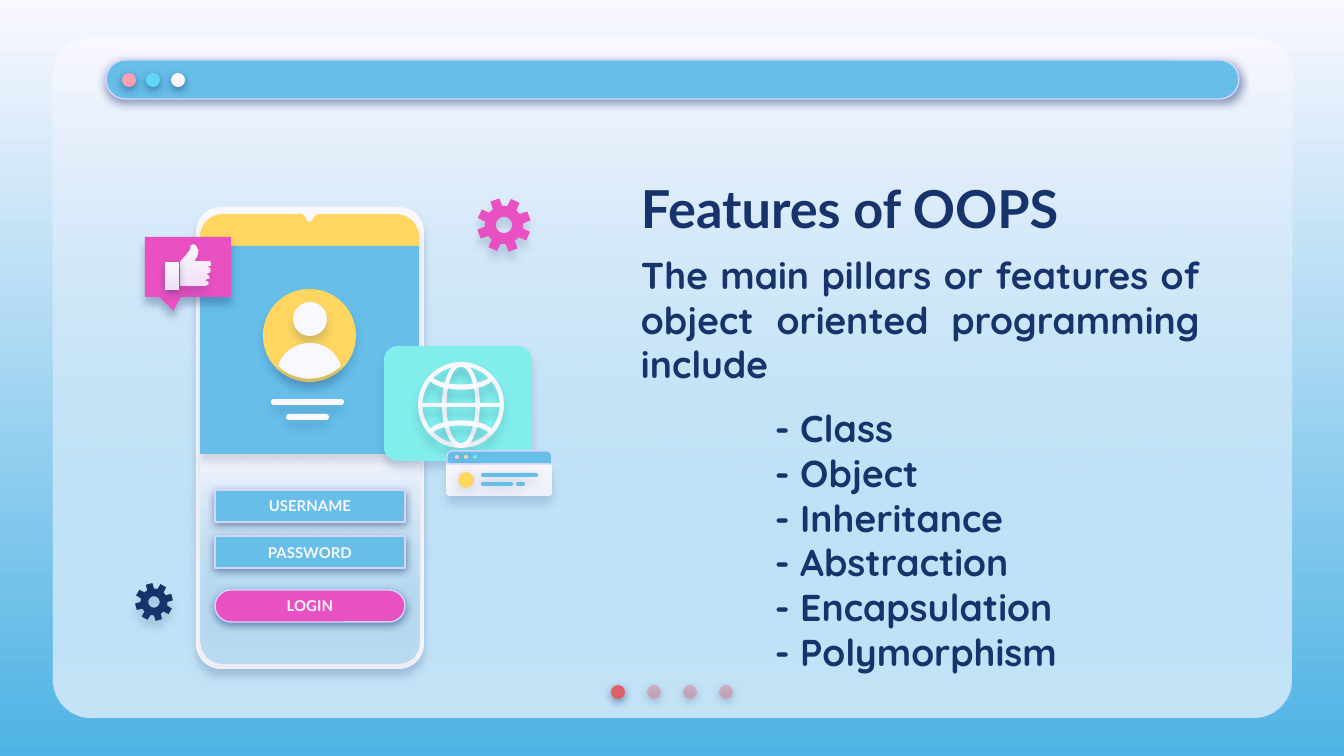
from dataclasses import dataclass
from math import cos, radians, sin

from lxml.etree import SubElement
from pptx import Presentation
from pptx.dml.color import RGBColor
from pptx.enum.shapes import MSO_SHAPE as Kind
from pptx.enum.text import MSO_ANCHOR as Anchor, MSO_AUTO_SIZE as AutoSize, PP_ALIGN as Align
from pptx.oxml.ns import qn
from pptx.util import Pt

PX = 9144000 / 1344  # EMU in one px of a 1344 x 756 page


def px(length):
    return round(length * PX)


@dataclass(frozen=True)
class Paint:
    color: str
    end: str = None    # second colour of a downward gradient
    alpha: int = 100   # opacity of the last colour, percent


@dataclass(frozen=True)
class Shadow:
    alpha: int
    blur: float
    drop: float


class Theme:
    navy, sky, white = Paint("17336B"), Paint("66BEE9"), Paint("F9F8FF")
    yellow, magenta, aqua = Paint("FFD65F"), Paint("E951C2"), Paint("81EEEB")
    backdrop = Paint("F9F8FF", "4EB3E4")
    glass = Paint("F9F8FF", "66BEE9", 35)
    frost = Paint("F9F8FF", "F9F8FF", 87)
    window_dots = [Paint("FDA0B4"), Paint("60D8F4"), white]
    page_dots = [Paint("DF5F69")] + [Paint("E27B83", alpha=44)] * 3
    browser_dots = [Paint("FFC3D0"), Paint("F5D79B"), Paint("6AEBE7")]
    border = "D2D6FF"
    crisp, soft = Shadow(50, 4.5, 1.5), Shadow(16, 4.5, 3.8)
    bold, deep = Shadow(31, 4.5, 3.8), Shadow(16, 4.5, 4.5)
    tiny, wide = Shadow(17, 4.5, 2.2), Shadow(18, 6.8, 1.5)
    heading, text = "Lato", "Quicksand"
    title_size, body_size, button_size, item_gap = Pt(28), Pt(20), Pt(8), Pt(10)


def apply_paint(fill, paint):
    if paint.end:
        fill.gradient()
        fill.gradient_angle = 270
        for stop, color in zip(fill.gradient_stops, (paint.color, paint.end)):
            stop.color.rgb = RGBColor.from_string(color)
    else:
        fill.solid()
        fill.fore_color.rgb = RGBColor.from_string(paint.color)


def style(shape, paint, shadow, border):
    properties = shape.element.spPr
    apply_paint(shape.fill, paint)
    if paint.alpha < 100:
        last = list(properties.iter(qn("a:srgbClr")))[-1]
        SubElement(last, qn("a:alpha"), val=str(paint.alpha * 1000))
    if border:
        shape.line.color.rgb = RGBColor.from_string(Theme.border)
        shape.line.width = Pt(0.75)
    else:
        shape.line.fill.background()
    shape.shadow.inherit = False
    if shadow:
        outer = SubElement(properties.find(qn("a:effectLst")), qn("a:outerShdw"),
                           blurRad=str(Pt(shadow.blur)), dist=str(Pt(shadow.drop)),
                           dir="5400000", algn="bl", rotWithShape="0")
        color = SubElement(outer, qn("a:srgbClr"), val=Theme.navy.color)
        SubElement(color, qn("a:alpha"), val=str(shadow.alpha * 1000))


class Region:
    """A group whose parts are placed from its left top corner."""

    def __init__(self, page, left, top):
        self.shapes = page.shapes.add_group_shape().shapes
        self.left, self.top = left, top

    def add(self, kind, x, y, w, h, paint, shadow=None, border=False, adjust=()):
        shape = self.shapes.add_shape(kind, px(self.left + x), px(self.top + y), px(w), px(h))
        for index, value in enumerate(adjust):
            shape.adjustments[index] = value
        style(shape, paint, shadow, border)
        return shape

    def outline(self, contours, paint, shadow):
        placed = [[(px(self.left + x), px(self.top + y)) for x, y in points] for points in contours]
        builder = self.shapes.build_freeform(*placed[0][0])
        builder.add_line_segments(placed[0][1:])
        for points in placed[1:]:
            builder.move_to(*points[0])
            builder.add_line_segments(points[1:])
        style(builder.convert_to_shape(), paint, shadow, False)


def polar(x, y, radius, angle):
    return x + radius * cos(radians(angle)), y + radius * sin(radians(angle))


def arc(x, y, radius, start, end, steps=10):
    return [polar(x, y, radius, start + (end - start) * i / steps) for i in range(steps + 1)]


def curve(*controls, steps=10):
    def point(t):
        weights = ((1 - t) ** 3, 3 * t * (1 - t) ** 2, 3 * t * t * (1 - t), t ** 3)
        return tuple(sum(w * c[axis] for w, c in zip(weights, controls)) for axis in (0, 1))
    return [point(i / steps) for i in range(steps + 1)]


def bottom_rounded(x, y, w, h, r):
    return ([(x, y), (x + w, y)] + arc(x + w - r, y + h - r, r, 0, 90)
            + arc(x + r, y + h - r, r, 90, 180))


def add_window(page, left, top):
    region = Region(page, left, top)
    for paint in (Theme.white, Theme.glass):
        region.add(Kind.ROUNDED_RECTANGLE, 0, 0, 1239, 680, paint, adjust=[0.056])
    for i, paint in enumerate(Theme.page_dots):
        region.add(Kind.OVAL, 558 + 36 * i, 647, 14, 14, paint, Theme.crisp)
    region.add(Kind.ROUNDED_RECTANGLE, 53, 22, 1133, 39, Theme.sky, Theme.crisp, True, [0.5])
    for i, paint in enumerate(Theme.window_dots):
        region.add(Kind.OVAL, 69 + 49 * i // 2, 35, 14, 14, paint, Theme.crisp)


def add_phone(page, left, top):
    region, soft = Region(page, left, top), Theme.soft
    # Case, lower screen, notched top and upper screen
    region.add(Kind.ROUNDED_RECTANGLE, 0, 0, 228, 462, Theme.white, soft, adjust=[0.11])
    region.outline([bottom_rounded(4, 247, 219, 210, 23)], Theme.glass, soft)
    notch = (curve((104, 7), (107, 7), (109, 9), (110, 12))
             + curve((110, 12), (111, 16), (116, 16), (117, 12))
             + curve((117, 12), (118, 9), (121, 7), (125, 7)))
    region.outline([[(4, 39)] + arc(27, 30, 23, 180, 270) + notch
                    + arc(200, 30, 23, 270, 360) + [(223, 39)]], Theme.yellow, soft)
    region.add(Kind.RECTANGLE, 4, 39, 219, 208, Theme.sky, soft)
    # Avatar
    region.add(Kind.OVAL, 67, 82, 93, 93, Theme.yellow, soft)
    region.add(Kind.OVAL, 97, 95, 34, 34, Theme.white, soft)
    bust = (curve((82, 159), (86, 145), (100, 136), (114, 136))
            + curve((114, 136), (128, 136), (141, 145), (145, 159))
            + curve((145, 159), (128, 176), (99, 176), (82, 159)))
    region.outline([bust], Theme.white, soft)
    for x, y, w in ((75, 192, 73), (90, 207, 43)):
        region.add(Kind.ROUNDED_RECTANGLE, x, y, w, 6, Theme.white, soft, adjust=[0.5])
    # Login form
    for label, y, paint, roundness in (("USERNAME", 283, Theme.sky, 0),
                                       ("PASSWORD", 329, Theme.sky, 0),
                                       ("LOGIN", 383, Theme.magenta, 0.5)):
        button = region.add(Kind.ROUNDED_RECTANGLE, 19, y, 190, 32, paint,
                            Theme.crisp, True, [roundness])
        frame = button.text_frame
        set_frame(frame, Anchor.MIDDLE, 13)
        add_text(frame.paragraphs[0], label, Theme.heading, Theme.button_size,
                 Theme.white, Align.CENTER)


def add_like(page, left, top):
    region = Region(page, left, top)
    region.add(Kind.ROUNDED_RECTANGULAR_CALLOUT, 0, 0, 86, 60, Theme.magenta, Theme.bold,
               adjust=[-0.17, 0.73, 0])
    thumb = [(47, 8), (45, 9), (44, 14), (35, 25), (35, 48), (37, 49), (59, 49), (62, 47),
             (62, 45), (59, 43), (62, 42), (63, 40), (62, 38), (60, 37), (63, 36), (64, 33),
             (63, 31), (61, 30), (64, 29), (65, 27), (64, 25), (61, 24), (49, 24), (51, 19),
             (52, 14), (50, 9)]
    region.outline([thumb], Theme.frost, Theme.deep)
    region.add(Kind.ROUNDED_RECTANGLE, 21, 26, 12, 27, Theme.frost, Theme.crisp, adjust=[0.1])


def add_globe(page, left, top):
    region, deep = Region(page, left, top), Theme.deep
    region.add(Kind.ROUNDED_RECTANGLE, 0, 0, 148, 115, Theme.aqua, Theme.soft, adjust=[0.12])
    region.add(Kind.DONUT, 34, 16, 86, 86, Theme.white, deep, adjust=[0.05])
    region.add(Kind.DONUT, 58, 16, 38, 86, Theme.white, deep, adjust=[0.12])
    region.add(Kind.RECTANGLE, 36, 57, 81, 4, Theme.white, deep)
    upper = (curve((45, 34), (55, 47), (99, 47), (109, 34))
             + curve((106, 31), (96, 41), (58, 41), (48, 31)))
    for parallel in (upper, [(x, 118 - y) for x, y in upper]):
        region.outline([parallel], Theme.white, deep)


def add_browser(page, left, top):
    region = Region(page, left, top)
    region.outline([bottom_rounded(0, 13, 105, 32, 5)], Theme.frost, Theme.deep)
    region.add(Kind.ROUND_2_SAME_RECTANGLE, 0, 0, 105, 13, Theme.sky, border=True, adjust=[0.4, 0])
    for i, paint in enumerate(Theme.browser_dots):
        region.add(Kind.OVAL, 8 + 9 * i, 4, 4, 4, paint, Theme.tiny)
    region.add(Kind.OVAL, 11, 21, 16, 16, Theme.yellow, Theme.wide)
    for x, y, w in ((34, 22, 57), (34, 31, 32), (69, 31, 9)):
        region.add(Kind.ROUNDED_RECTANGLE, x, y, w, 4, Theme.sky, Theme.wide, adjust=[0.5])


def add_gear(page, left, top, radius, turn, paint):
    region, root, hole = Region(page, left, top), radius * 0.71, radius * 0.3
    teeth = [polar(radius, radius, reach, turn + 45 * i + offset) for i in range(8)
             for reach, offset in ((root, -15), (radius, -10), (radius, 10), (root, 15))]
    region.outline([teeth, arc(radius, radius, hole, 360, 0, 24)], paint, Theme.deep)


def set_frame(frame, anchor, inset):
    frame.word_wrap, frame.vertical_anchor = True, anchor
    frame.margin_left = frame.margin_right = px(13)
    frame.margin_top = frame.margin_bottom = px(inset)


def add_text(para, text, font, size, paint, align):
    para.alignment, para.line_spacing = align, 1.0
    para.space_before = para.space_after = Pt(0)
    span = para.add_run()
    span.text = text
    span.font.name, span.font.size, span.font.bold = font, size, True
    span.font.color.rgb = RGBColor.from_string(paint.color)


def add_copy(page, left, top, title_text, intro, items):
    title, body = page.shapes.title, page.placeholders[1]
    for box, y, h in ((title, 0, 106), (body, 90, 438)):
        box.left, box.top, box.width, box.height = px(left), px(top + y), px(585), px(h)
        box.element.getparent().append(box.element)  # bring to front
    set_frame(title.text_frame, Anchor.MIDDLE, 13)
    title.text_frame.auto_size = AutoSize.NONE
    add_text(title.text_frame.paragraphs[0], title_text, Theme.heading, Theme.title_size,
             Theme.navy, Align.LEFT)
    frame = body.text_frame
    set_frame(frame, Anchor.TOP, 7)
    frame.auto_size = AutoSize.SHAPE_TO_FIT_TEXT
    for i, text in enumerate([intro] + [f"- {item}" for item in items]):
        para = frame.paragraphs[0] if i == 0 else frame.add_paragraph()
        properties = para._p.get_or_add_pPr()
        properties.set("marL", str(px(134) if i else 0))
        properties.set("indent", "0")
        SubElement(properties, qn("a:buNone"))
        add_text(para, text, Theme.text, Theme.body_size, Theme.navy, Align.JUSTIFY)
    frame.paragraphs[1].space_before = Theme.item_gap


def main():
    deck = Presentation()
    deck.slide_width, deck.slide_height = px(1344), px(756)
    page = deck.slides.add_slide(deck.slide_layouts[1])
    apply_paint(page.background.fill, Theme.backdrop)
    add_window(page, 53, 38)
    add_phone(page, 196, 207)
    add_like(page, 145, 237)
    add_globe(page, 384, 346)
    add_browser(page, 447, 451)
    add_gear(page, 477, 198, 27, 25, Theme.magenta)
    add_gear(page, 135, 583, 19, 30, Theme.navy)
    add_copy(page, 628, 155, "Features of OOPS",
             "The main pillars or features of object oriented programming include",
             ["Class", "Object", "Inheritance", "Abstraction", "Encapsulation", "Polymorphism"])
    deck.save("out.pptx")


if __name__ == "__main__":
    main()
